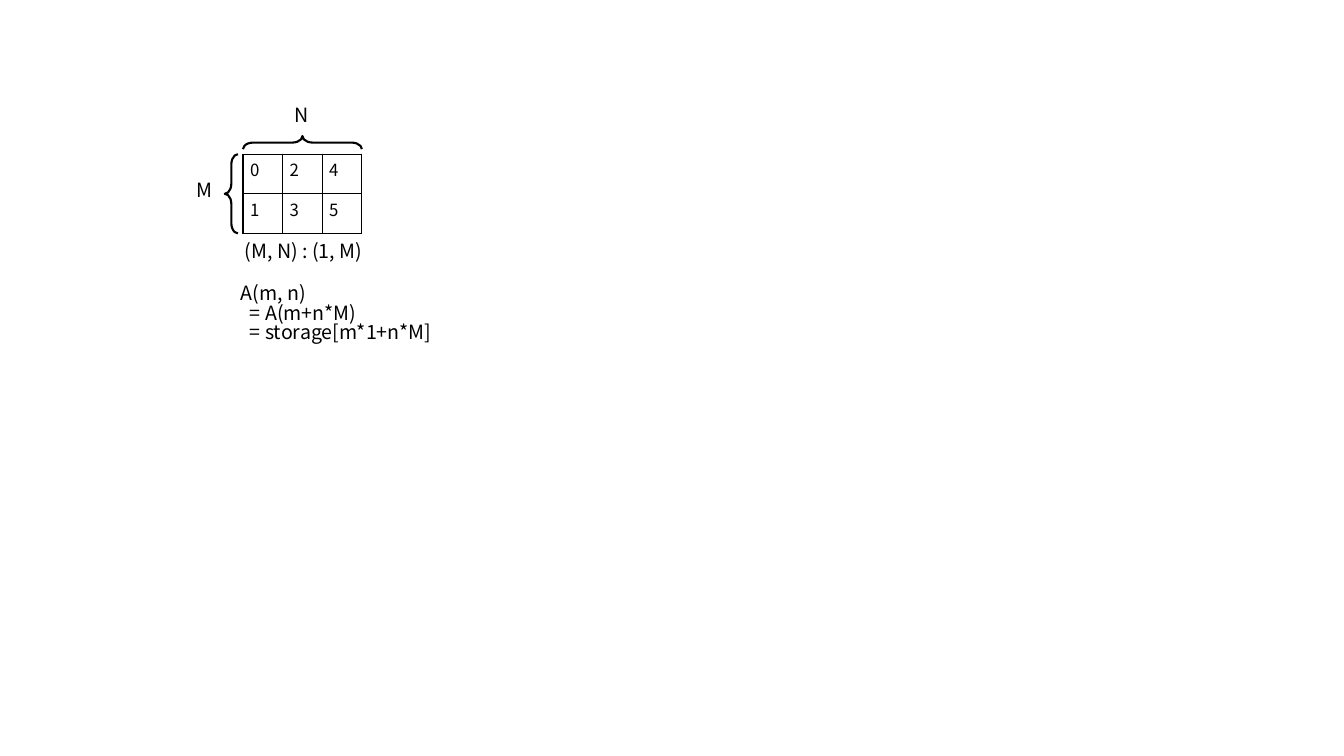
from lxml.etree import SubElement
from pptx import Presentation
from pptx.dml.color import RGBColor
from pptx.enum.shapes import MSO_SHAPE
from pptx.enum.text import MSO_AUTO_SIZE
from pptx.oxml.ns import qn
from pptx.util import Inches, Pt

BLACK = RGBColor(0, 0, 0)
FONT = "Noto Sans CJK SC"

MATRIX = [["0", "2", "4"], ["1", "3", "5"]]
LABELS = [
    (1.85, 1.76, 0.37, 0.34, ["M"]),
    (2.82, 1.01, 0.35, 0.34, ["N"]),
    (2.33, 2.36, 1.37, 0.34, ["(M, N) : (1, M)"]),
    (2.29, 2.78, 2.09, 0.81, ["A(m, n)", "= A(m+n*M)", "= storage[m*1+n*M]"]),
]

LEFT, TOP, CELL = 2.41, 1.53, 0.393
WIDTH, HEIGHT = CELL * len(MATRIX[0]), CELL * len(MATRIX)
BRACE, BRACE_GAP = 0.13, 0.05
CONTINUATION_INDENT = Inches(0.09)
LINE_SPACING = 0.83

CELL_FORMAT = {
    "margin_left": Inches(0.07),
    "margin_right": Inches(0.07),
    "margin_top": Inches(0.03),
    "margin_bottom": Inches(0.03),
}
TABLE_FORMAT = {"first_row": False, "horz_banding": False}
FRAME_FORMAT = {"word_wrap": False, "auto_size": MSO_AUTO_SIZE.SHAPE_TO_FIT_TEXT}


def apply(target, values):
    for name, value in values.items():
        setattr(target, name, value)


def write(paragraph, text, size):
    run = paragraph.add_run()
    run.text = text
    apply(run.font, {"name": FONT, "size": Pt(size)})
    run.font.color.rgb = BLACK
    SubElement(run.font._element, qn("a:ea"), typeface=FONT)


def add_borders(cell):
    properties = cell._tc.get_or_add_tcPr()
    for position, side in enumerate(("lnL", "lnR", "lnT", "lnB")):
        border = SubElement(properties, qn(f"a:{side}"), w=str(Pt(1)))
        fill = SubElement(border, qn("a:solidFill"))
        SubElement(fill, qn("a:srgbClr"), val=str(BLACK))
        properties.remove(border)
        properties.insert(position, border)


def add_matrix(slide):
    matrix = slide.shapes.add_table(
        len(MATRIX), len(MATRIX[0]), Inches(LEFT), Inches(TOP), Inches(WIDTH), Inches(HEIGHT)
    ).table
    apply(matrix, TABLE_FORMAT)
    for row, values in enumerate(MATRIX):
        for column, value in enumerate(values):
            cell = matrix.cell(row, column)
            apply(cell, CELL_FORMAT)
            cell.fill.background()
            add_borders(cell)
            write(cell.text_frame.paragraphs[0], value, 12)


def add_brace(slide, center_x, center_y, length, rotation):
    brace = slide.shapes.add_shape(
        MSO_SHAPE.LEFT_BRACE,
        Inches(center_x - BRACE / 2),
        Inches(center_y - length / 2),
        Inches(BRACE),
        Inches(length),
    )
    brace.rotation = rotation
    brace.adjustments[0] = 0.783
    brace.shadow.inherit = False
    brace.fill.background()
    brace.line.color.rgb = BLACK
    brace.line.width = Pt(1.5)


def add_label(slide, left, top, width, height, lines):
    label = slide.shapes.add_textbox(*map(Inches, (left, top, width, height)))
    frame = label.text_frame
    apply(frame, FRAME_FORMAT)
    for index, line in enumerate(lines):
        paragraph = frame.add_paragraph() if index else frame.paragraphs[0]
        paragraph.line_spacing = LINE_SPACING
        if index:
            paragraph._p.get_or_add_pPr().set("marL", str(CONTINUATION_INDENT))
        write(paragraph, line, 14)


def main():
    deck = Presentation()
    apply(deck, {"slide_width": Inches(13.33), "slide_height": Inches(7.5)})
    slide = deck.slides.add_slide(deck.slide_layouts[6])
    add_matrix(slide)
    offset = BRACE_GAP + BRACE / 2
    add_brace(slide, LEFT - offset, TOP + HEIGHT / 2, HEIGHT, 0)
    add_brace(slide, LEFT + WIDTH / 2, TOP - offset, WIDTH, 90)
    for label in LABELS:
        add_label(slide, *label)
    deck.save("out.pptx")


if __name__ == "__main__":
    main()
